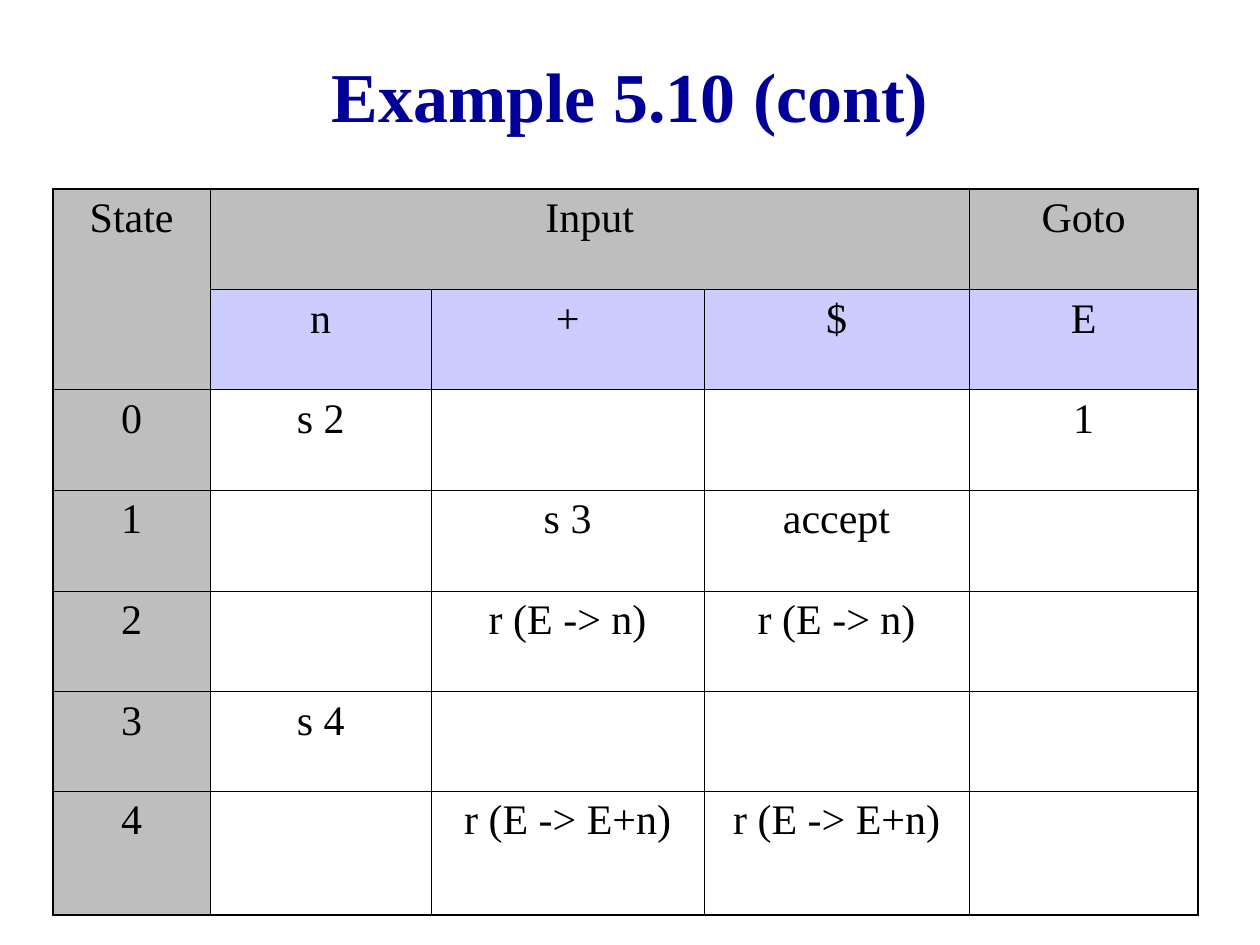
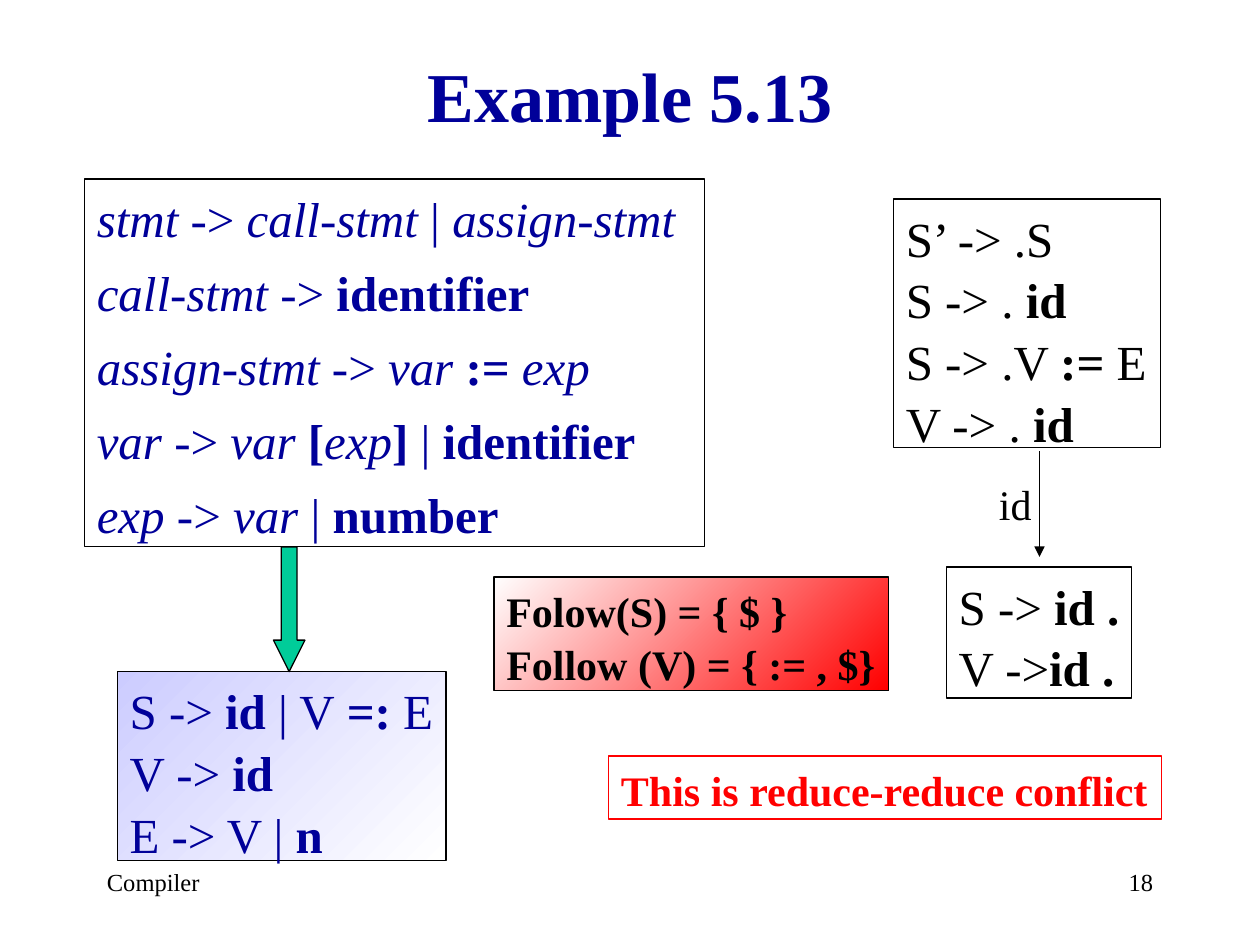
from lxml.etree import SubElement
from pptx import Presentation
from pptx.dml.color import RGBColor
from pptx.enum.shapes import MSO_CONNECTOR as Connector, MSO_SHAPE as Shape
from pptx.enum.text import MSO_ANCHOR as Anchor, PP_ALIGN as Align
from pptx.oxml.ns import qn
from pptx.util import Inches, Pt

FONT = "Times New Roman"
COLORS = {
    "ink": "000000", "navy": "000099", "paper": "FFFFFF", "header": "BEBEBE",
    "lavender": "CCCCFF", "green": "00CC99", "red": "FF0000",
}

TITLE_BOX = (0.75, 0.25, 8.5, 1)
FOOTER_BOX = (0.75, 6.83, 8.5, 0.5)
FOOTER_FIELD_WIDTH = 2.08
TABLE_BOX = (0.42, 1.5, 9.08, 5.76)

COLUMN_WIDTHS = [1.25, 1.75, 2.17, 2.1, 1.82]
ROW_HEIGHTS = [0.8, 0.79, 0.8, 0.8, 0.8, 0.79, 0.98]
PARSING_TABLE = [
    ["State", "Input", "", "", "Goto"],
    ["", "n", "+", "$", "E"],
    ["0", "s 2", "", "", "1"],
    ["1", "", "s 3", "accept", ""],
    ["2", "", "r (E -> n)", "r (E -> n)", ""],
    ["3", "s 4", "", "", ""],
    ["4", "", "r (E -> E+n)", "r (E -> E+n)", ""],
]

# In the grammars, * switches bold and _ switches italic
GRAMMAR = [
    "_stmt _-> _call-stmt_ | _assign-stmt_",
    "_call-stmt_ -> *identifier*",
    "_assign-stmt_ -> _var _*:= *_exp_",
    "_var_ ->_ var _*[*_exp_*]* | *identifier*",
    "_exp_ -> _var_ | *number*",
]
SHORT_GRAMMAR = ["S -> *id* | V* =:* E", "V -> *id*", "E -> V | *n*"]
START_STATE = ["S’ -> .S", "S -> . *id*", "S -> .V *:= *E", "V -> . *id*"]
CONFLICT_STATE = ["S -> *id .*", "V ->*id .*"]
FOLLOW_SETS = ["*Folow(S) = { $ }*", "*Follow (V) = { := , $}*"]


def rgb(name):
    return RGBColor.from_string(COLORS[name])


def inches(box):
    return [Inches(length) for length in box]


def add_runs(paragraph, marked, size, color):
    """Split marked text into runs at each switch of bold or italic."""
    bold = italic = False
    piece = ""
    for char in marked + "*":
        if char not in "*_":
            piece += char
            continue
        if piece:
            run = paragraph.add_run()
            run.text = piece
            font = run.font
            font.name, font.size = FONT, Pt(size)
            font.bold, font.italic = bold, italic
            font.color.rgb = rgb(color)
            piece = ""
        if char == "*":
            bold = not bold
        else:
            italic = not italic


def write(frame, lines, size=28, color="ink", align=Align.LEFT, before=0,
          spacing=None, anchor=Anchor.TOP, wrap=True):
    frame.word_wrap = wrap
    frame.vertical_anchor = anchor
    for index, line in enumerate(lines):
        paragraph = frame.add_paragraph() if index else frame.paragraphs[0]
        paragraph.alignment = align
        paragraph.space_before = Pt(before)
        if spacing:
            paragraph.line_spacing = spacing
        add_runs(paragraph, line, size, color)


def add_label(slide, box, lines, **text_format):
    label = slide.shapes.add_textbox(*inches(box))
    write(label.text_frame, lines, **text_format)


def add_panel(slide, box, kind=Shape.RECTANGLE, fill="paper", line="ink"):
    """Outlined shape; a pair of fill colours gives a diagonal gradient."""
    panel = slide.shapes.add_shape(kind, *inches(box))
    panel.shadow.inherit = False
    panel.line.color.rgb = rgb(line)
    panel.line.width = Pt(0.75)
    if fill is None:
        panel.fill.background()
    elif isinstance(fill, tuple):
        panel.fill.gradient()
        panel.fill.gradient_angle = 315
        for position, (stop, name) in enumerate(zip(panel.fill.gradient_stops, fill)):
            stop.position = position
            stop.color.rgb = rgb(name)
    else:
        panel.fill.solid()
        panel.fill.fore_color.rgb = rgb(fill)
    return panel


def add_text_panel(slide, box, lines, fill="paper", line="ink", wrap=False,
                   **text_format):
    panel = add_panel(slide, box, fill=fill, line=line)
    write(panel.text_frame, lines, spacing=1.05, wrap=wrap, **text_format)


def add_arrow(slide, x, top, bottom):
    arrow = slide.shapes.add_connector(Connector.STRAIGHT,
                                       *inches((x, top, x, bottom)))
    arrow.line.color.rgb = rgb("ink")
    arrow.line.width = Pt(0.75)
    SubElement(arrow.line._get_or_add_ln(), qn("a:tailEnd"), type="triangle")
    SubElement(arrow._element.spPr, qn("a:effectLst"))


def add_title(slide, title):
    add_label(slide, TITLE_BOX, [f"*{title}*"], size=40, color="navy",
              align=Align.CENTER, anchor=Anchor.MIDDLE)


def add_footer(slide, box, course, number):
    left, top, width, height = box
    field = FOOTER_FIELD_WIDTH
    add_label(slide, (left, top, field, height), [course], size=14)
    add_label(slide, (left + width - field, top, field, height), [number],
              size=14, align=Align.RIGHT)


def set_borders(cell, widths):
    """Draw the left, right, top and bottom border, in that order."""
    properties = cell._tc.get_or_add_tcPr()
    for index, (side, width) in enumerate(zip("LRTB", widths)):
        border = SubElement(properties, qn(f"a:ln{side}"), w=str(Pt(width)))
        fill = SubElement(border, qn("a:solidFill"))
        SubElement(fill, qn("a:srgbClr"), val=COLORS["ink"])
        properties.remove(border)
        properties.insert(index, border)


def cell_fill(row, column):
    if row == 0 or column == 0:
        return "header"
    return "lavender" if row == 1 else "paper"


def add_parsing_table(slide, box):
    last_row, last_column = len(ROW_HEIGHTS) - 1, len(COLUMN_WIDTHS) - 1
    table = slide.shapes.add_table(last_row + 1, last_column + 1,
                                   *inches(box)).table
    for column, width in zip(table.columns, COLUMN_WIDTHS):
        column.width = Inches(width)
    for row, height in zip(table.rows, ROW_HEIGHTS):
        row.height = Inches(height)

    # Outer edges are thicker than the inner grid
    for r, entries in enumerate(PARSING_TABLE):
        for c, entry in enumerate(entries):
            cell = table.cell(r, c)
            cell.fill.solid()
            cell.fill.fore_color.rgb = rgb(cell_fill(r, c))
            edges = (c == 0, c == last_column, r == 0, r == last_row)
            set_borders(cell, [1.08 if outer else 0.45 for outer in edges])
            write(cell.text_frame, [entry], size=24, align=Align.CENTER, before=6)

    # "State" spans both header rows, "Input" its three symbols
    table.cell(0, 0).merge(table.cell(1, 0))
    table.cell(0, 1).merge(table.cell(0, 3))


def add_grammars(slide, box):
    """Full grammar, and an arrow down to its short form."""
    left, top, width, height = box
    add_text_panel(slide, box, GRAMMAR, color="navy", before=7, wrap=True)
    bottom = top + height
    add_text_panel(slide, (left + 0.26, bottom + 0.99, 2.61, 1.5), SHORT_GRAMMAR,
                   fill=("lavender", "paper"), color="navy")
    arrow = add_panel(slide, (left + 1.5, bottom, 0.25, 0.99),
                      kind=Shape.DOWN_ARROW, fill="green")
    arrow.adjustments[0] = 0.5
    arrow.adjustments[1] = 1


def add_states(slide, box):
    """Start state, and the state reached from it on id."""
    left, top, width, height = box
    bottom = top + height
    add_text_panel(slide, box, START_STATE)
    add_text_panel(slide, (left + 0.42, bottom + 0.95, 1.47, 1.04), CONFLICT_STATE)
    add_arrow(slide, left + 1.16, bottom + 0.03, bottom + 0.87)
    add_label(slide, (left + 0.74, bottom + 0.2, 0.46, 0.5), ["id"], size=24,
              wrap=False)


def add_conclusion(slide, box):
    """Follow sets, and the conflict they show."""
    left, top, width, height = box
    add_text_panel(slide, box, FOLLOW_SETS, fill=("paper", "red"), size=24)
    add_text_panel(slide, (left + 0.91, top + 1.42, 4.39, 0.5),
                   ["*This is reduce-reduce conflict*"], fill=None, line="red",
                   size=24, color="red")


def build_table_slide(slide):
    add_title(slide, "Example 5.10 (cont)")
    add_parsing_table(slide, TABLE_BOX)


def build_conflict_slide(slide):
    add_footer(slide, FOOTER_BOX, "Compiler", "18")
    add_title(slide, "Example 5.13")
    add_grammars(slide, (0.67, 1.42, 4.92, 2.92))
    add_states(slide, (7.09, 1.58, 2.12, 1.97))
    add_conclusion(slide, (3.92, 4.58, 3.13, 0.9))


def main():
    deck = Presentation()
    deck.slide_width, deck.slide_height = Inches(10), Inches(7.5)
    blank = deck.slide_layouts[6]
    for build in (build_table_slide, build_conflict_slide):
        build(deck.slides.add_slide(blank))
    deck.save("out.pptx")


if __name__ == "__main__":
    main()
